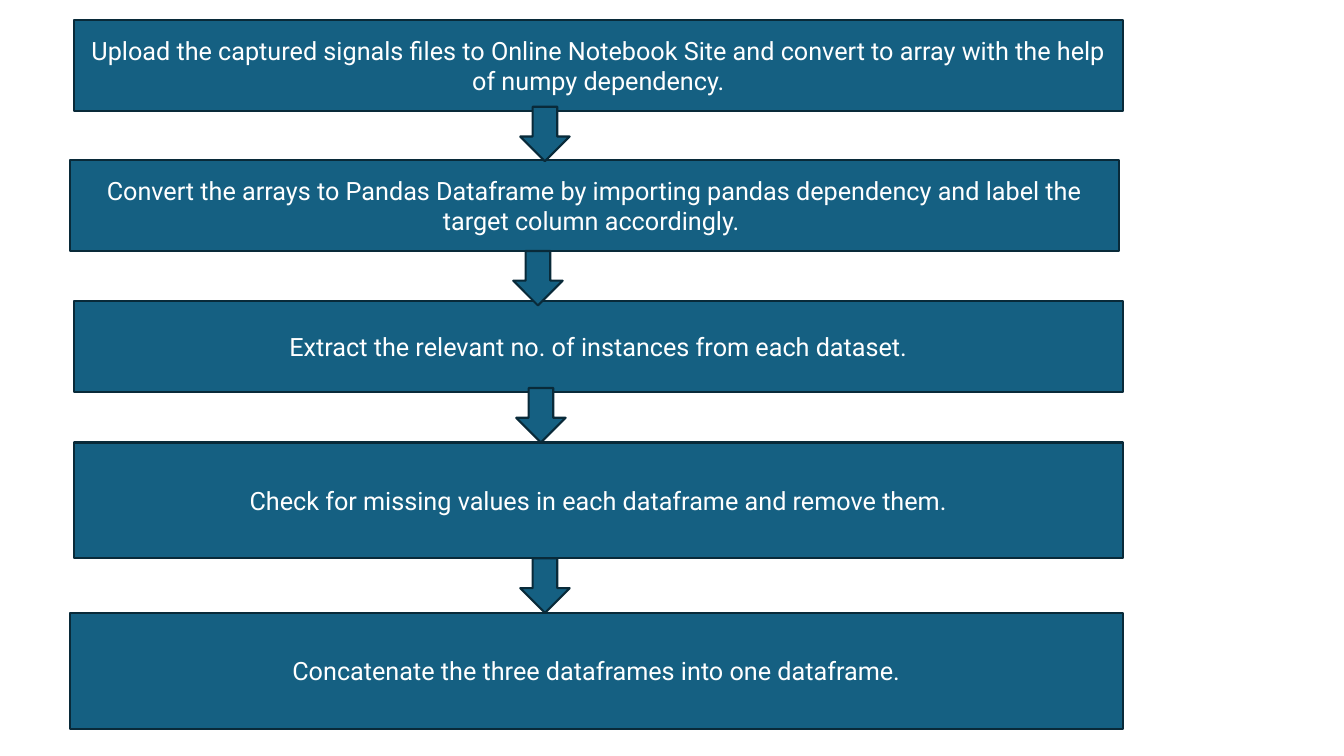
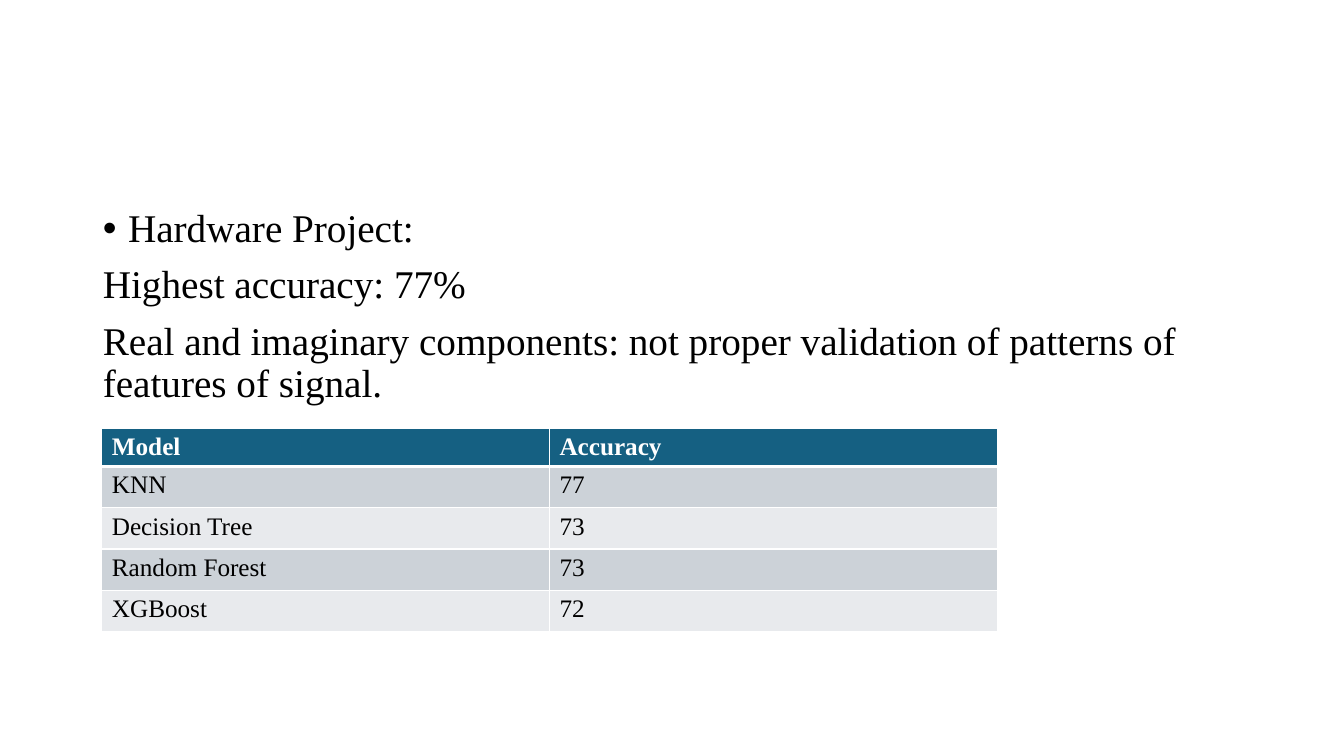
"""Build a data preparation flowchart and a model accuracy slide."""
from lxml import etree
from pptx import Presentation
from pptx import util as u
from pptx.dml.color import RGBColor
from pptx.enum import shapes, text
from pptx.oxml.ns import qn

COLORS = {
    "main": "156082", "edge": "092A39", "white": "FFFFFF",
    "black": "000000", "odd": "CCD2D8", "even": "E8EAED",
}
SANS, SERIF = "Roboto", "Times New Roman"

STEPS = [
    ("Upload the captured signals files to Online Notebook Site and convert "
     "to array with the help of numpy dependency.", 0.73, 0.2, 10.41, 0.9),
    ("Convert the arrays to Pandas Dataframe by importing pandas dependency "
     "and label the target column accordingly. ", 0.69, 1.59, 10.41, 0.9),
    ("Extract the relevant no. of instances from each dataset.",
     0.73, 2.99, 10.41, 0.9),
    ("Check for missing values in each dataframe and remove them.",
     0.73, 4.39, 10.41, 1.15),
    ("Concatenate the three dataframes into one dataframe.",
     0.69, 6.08, 10.45, 1.15),
]
ARROWS = [(5.16, 1.06), (5.09, 2.49), (5.12, 3.85), (5.16, 5.54)]
ARROW_SIZE = (0.49, 0.54)

FINDINGS = [
    ("Hardware Project:", True),
    ("Highest accuracy: 77%", False),
    ("Real and imaginary components: not proper validation of patterns of "
     "features of signal.", False),
]
RESULTS = [
    ("Model", "Accuracy"),
    ("KNN", "77"),
    ("Decision Tree", "73"),
    ("Random Forest", "73"),
    ("XGBoost", "72"),
]
COLUMN_W, HEADER_H, ROW_H = 4.44, 0.37, 0.41


def rgb(name):
    return RGBColor.from_string(COLORS[name])


def add_run(p, words, font, size, color, bold=False):
    r = p.add_run()
    r.text = words
    r.font.name, r.font.size, r.font.bold = font, u.Pt(size), bold
    r.font.color.rgb = rgb(color)


def add_block(s, kind, *box):
    sp = s.shapes.add_shape(kind, *map(u.Inches, box))
    sp.shadow.inherit = False
    sp.fill.solid()
    sp.fill.fore_color.rgb = rgb("main")
    sp.line.color.rgb = rgb("edge")
    sp.line.width = u.Pt(1.5)
    return sp


def set_bullet(p, bulleted):
    pPr = p._p.get_or_add_pPr()
    indent = u.Inches(0.25) if bulleted else 0
    pPr.set("marL", str(indent))
    pPr.set("indent", str(-indent))
    if bulleted:
        etree.SubElement(pPr, qn("a:buFont")).set("typeface", "Arial")
        etree.SubElement(pPr, qn("a:buChar")).set("char", "•")
    else:
        etree.SubElement(pPr, qn("a:buNone"))


def set_borders(cell, **widths):
    tcPr = cell._tc.get_or_add_tcPr()
    for side in "LRTB":
        ln = etree.SubElement(tcPr, qn(f"a:ln{side}"))
        ln.set("w", str(u.Pt(widths.get(side, 1))))
        fill = etree.SubElement(ln, qn("a:solidFill"))
        etree.SubElement(fill, qn("a:srgbClr")).set("val", COLORS["white"])


def build_flow(prs):
    s = prs.slides.add_slide(prs.slide_layouts[6])
    for words, *box in STEPS:
        tf = add_block(s, shapes.MSO_SHAPE.RECTANGLE, *box).text_frame
        tf.word_wrap = True
        tf.vertical_anchor = text.MSO_ANCHOR.MIDDLE
        p = tf.paragraphs[0]
        p.alignment = text.PP_ALIGN.CENTER
        add_run(p, words, SANS, 18, "white")
    for place in ARROWS:
        add_block(s, shapes.MSO_SHAPE.DOWN_ARROW, *place, *ARROW_SIZE)


def add_findings(s):
    body = s.placeholders[1]
    body.left, body.top = u.Inches(0.92), u.Inches(2.02)
    body.width, body.height = u.Inches(11.5), u.Inches(4.76)
    tf = body.text_frame
    tf.word_wrap = True
    tf.auto_size = text.MSO_AUTO_SIZE.NONE
    for i, (words, bulleted) in enumerate(FINDINGS):
        p = tf.add_paragraph() if i else tf.paragraphs[0]
        p.line_spacing = 0.9
        p.space_before = u.Pt(10)
        set_bullet(p, bulleted)
        add_run(p, words, SERIF, 28, "black")


def add_results(s):
    rows, cols = len(RESULTS), len(RESULTS[0])
    height = HEADER_H + ROW_H * (rows - 1)
    box = (1.01, 4.25, COLUMN_W * cols, height)
    table = s.shapes.add_table(rows, cols, *map(u.Inches, box)).table
    for column in table.columns:
        column.width = u.Inches(COLUMN_W)
    for i, values in enumerate(RESULTS):
        header = i == 0
        table.rows[i].height = u.Inches(HEADER_H if header else ROW_H)
        fill = "main" if header else ("even", "odd")[i % 2]
        for j, value in enumerate(values):
            cell = table.cell(i, j)
            set_borders(cell, T=3 if i == 1 else 1, B=3 if header else 1)
            cell.fill.solid()
            cell.fill.fore_color.rgb = rgb(fill)
            add_run(cell.text_frame.paragraphs[0], value, SERIF, 18,
                    "white" if header else "black", header)


def build_accuracy(prs):
    s = prs.slides.add_slide(prs.slide_layouts[1])
    title = s.shapes.title.element
    title.getparent().remove(title)
    add_findings(s)
    add_results(s)


def main():
    prs = Presentation()
    prs.slide_width, prs.slide_height = u.Inches(13.33), u.Inches(7.5)
    build_flow(prs)
    build_accuracy(prs)
    prs.save("out.pptx")


if __name__ == "__main__":
    main()
